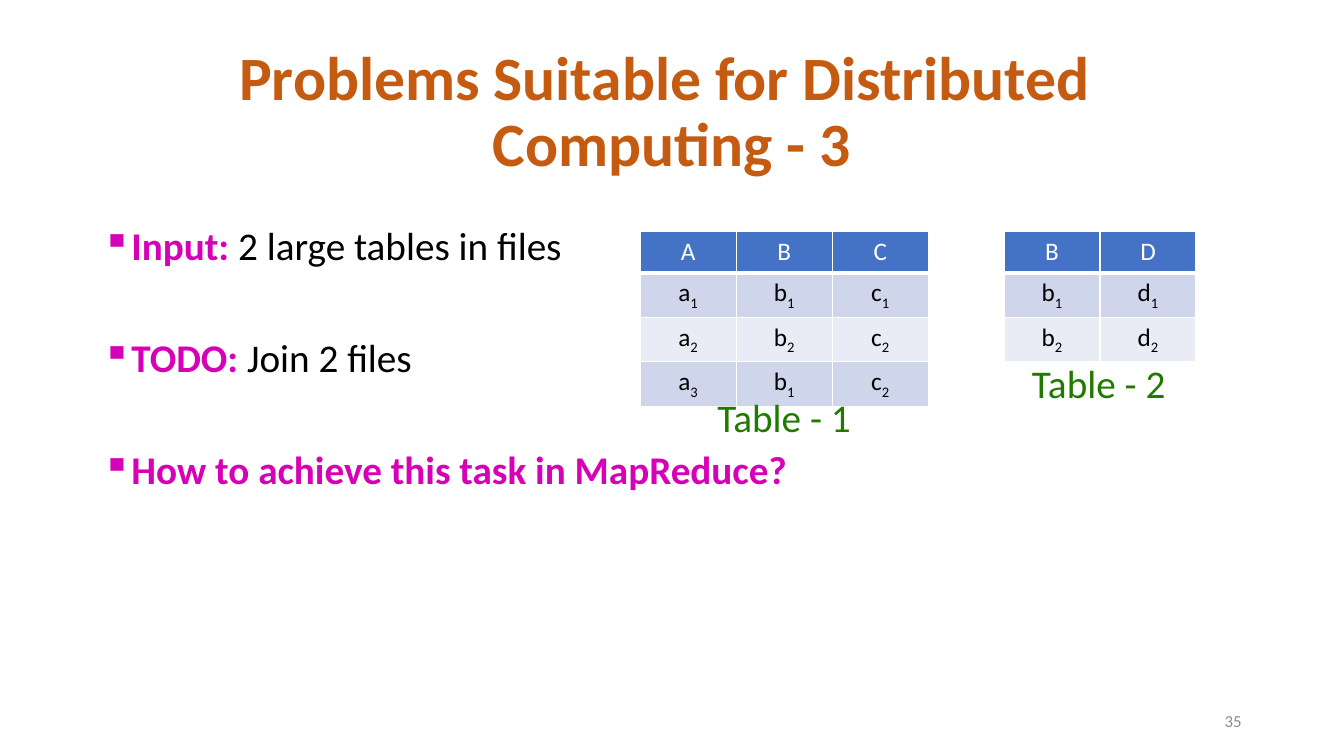
from dataclasses import dataclass

from lxml import etree
from pptx import Presentation
from pptx.dml.color import RGBColor
from pptx.enum.text import MSO_ANCHOR, PP_ALIGN
from pptx.oxml.ns import qn
from pptx.util import Pt

LEFT, CENTER, RIGHT = PP_ALIGN.LEFT, PP_ALIGN.CENTER, PP_ALIGN.RIGHT
TOP, MIDDLE = MSO_ANCHOR.TOP, MSO_ANCHOR.MIDDLE


@dataclass(frozen=True)
class Theme:
    font: str = "Calibri"
    title: str = "C55A11"
    accent: str = "D600B7"
    label: str = "207A00"
    number: str = "8C8C8C"
    ink: str = "000000"
    white: str = "FFFFFF"
    head: str = "4472C4"
    bands: tuple = ("CFD5EA", "E9EBF5")
    title_size: int = 44
    body_size: int = 28
    cell_size: int = 18
    number_size: int = 12


THEME = Theme()


def style(font, size, color, bold=False):
    font.name = THEME.font
    font.size = Pt(size)
    font.bold = bold
    font.color.rgb = RGBColor.from_string(color)


def add_frame(slide, box, anchor=TOP, wrap=True):
    frame = slide.shapes.add_textbox(*map(Pt, box)).text_frame
    frame.word_wrap = wrap
    frame.vertical_anchor = anchor
    return frame


def add_text(slide, box, text, size, color, align=LEFT, anchor=TOP,
             bold=False, wrap=True, spacing=1.0):
    para = add_frame(slide, box, anchor, wrap).paragraphs[0]
    para.text = text
    para.alignment = align
    para.line_spacing = spacing
    style(para.font, size, color, bold)


def add_bullets(slide, box, items, gap):
    frame = add_frame(slide, box)
    for i, (lead, rest) in enumerate(items):
        para = frame.add_paragraph() if i else frame.paragraphs[0]
        para.line_spacing = 0.9
        para.space_before = Pt(gap if i else 0)
        props = para._p.get_or_add_pPr()
        props.set("marL", str(Pt(18)))
        props.set("indent", str(-Pt(18)))
        etree.SubElement(props, qn("a:buChar"), char="▪")
        for text, color, bold in ((lead, THEME.accent, True),
                                  (rest, THEME.ink, False)):
            if text:
                run = para.add_run()
                run.text = text
                style(run.font, THEME.body_size, color, bold)


def add_edges(cell, widths):
    props = cell._tc.get_or_add_tcPr()
    for side, width in widths.items():
        line = etree.SubElement(props, qn("a:ln" + side), w=str(Pt(width)))
        fill = etree.SubElement(line, qn("a:solidFill"))
        etree.SubElement(fill, qn("a:srgbClr"), val=THEME.white)


def fill_cell(cell, text, row):
    # Body cells hold a letter and its subscript
    para = cell.text_frame.paragraphs[0]
    para.alignment = CENTER
    style(para.font, THEME.cell_size, THEME.ink if row else THEME.white)
    for i, part in enumerate(text):
        run = para.add_run()
        run.text = part
        style(run.font, THEME.cell_size, THEME.ink if row else THEME.white)
        if i:
            run.font._element.set("baseline", "-25000")
    edges = {"L": 1, "R": 1, "T": 3 if row == 1 else 1, "B": 1 if row else 3}
    add_edges(cell, edges)
    cell.fill.solid()
    color = THEME.bands[(row - 1) % 2] if row else THEME.head
    cell.fill.fore_color.rgb = RGBColor.from_string(color)


def add_grid(slide, left, top, rows, wide=68.64, high=29.2):
    count = len(rows[0])
    table = slide.shapes.add_table(
        len(rows), count, Pt(left), Pt(top),
        Pt(wide * count), Pt(high * len(rows))).table
    for col in table.columns:
        col.width = Pt(wide)
    for r, row in enumerate(rows):
        table.rows[r].height = Pt(high)
        for c, text in enumerate(row):
            fill_cell(table.cell(r, c), text, r)


def main():
    deck = Presentation()
    deck.slide_width, deck.slide_height = Pt(960), Pt(540)
    slide = deck.slides.add_slide(deck.slide_layouts[6])

    # Title
    add_text(slide, (66, 28.8, 828, 104.4),
             "Problems Suitable for Distributed \vComputing - 3",
             THEME.title_size, THEME.title, CENTER, MIDDLE,
             bold=True, spacing=0.9)

    # Task
    add_bullets(slide, (66, 158, 828, 345), [
        ("Input: ", "2 large tables in files"),
        ("TODO: ", "Join 2 files"),
        ("How to achieve this task in MapReduce?", ""),
    ], gap=50)

    # Page number
    add_text(slide, (678, 500.5, 216, 28.8), "35",
             THEME.number_size, THEME.number, RIGHT, MIDDLE)

    # Tables to join
    add_grid(slide, 457.2, 165.6, [
        ("A", "B", "C"),
        ("a1", "b1", "c1"),
        ("a2", "b2", "c2"),
        ("a3", "b1", "c2"),
    ])
    add_grid(slide, 717.1, 165.6, [
        ("B", "D"),
        ("b1", "d1"),
        ("b2", "d2"),
    ])

    # Table labels
    for text, left, top in (("Table - 1", 505.4, 277.2),
                            ("Table - 2", 730.1, 253.4)):
        add_text(slide, (left, top, 110.9, 41), text,
                 THEME.body_size, THEME.label, wrap=False)

    deck.save("out.pptx")


if __name__ == "__main__":
    main()
